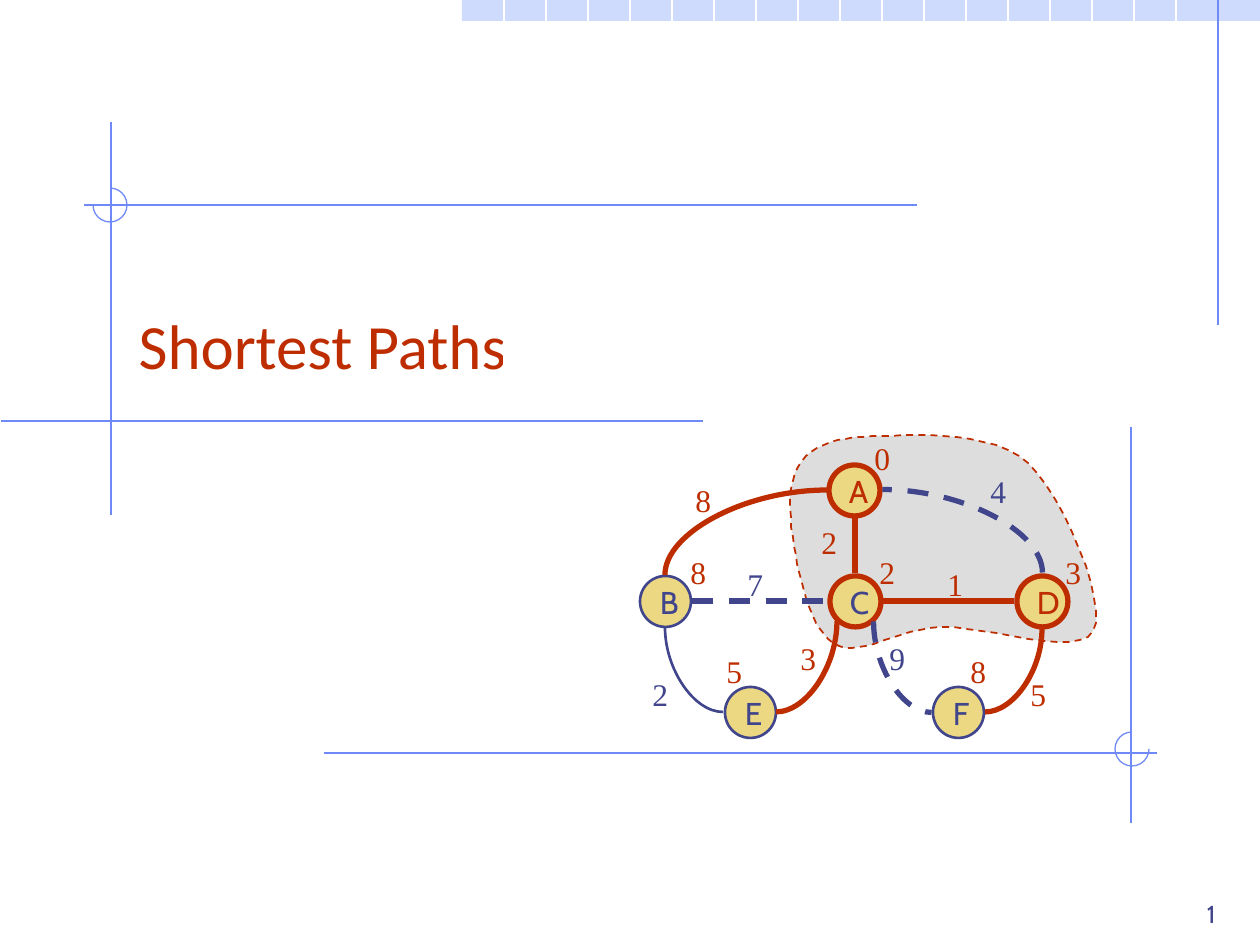
from pptx import Presentation
from pptx.dml.color import RGBColor
from pptx.enum.dml import MSO_LINE
from pptx.enum.shapes import MSO_CONNECTOR, MSO_SHAPE
from pptx.enum.text import MSO_ANCHOR, PP_ALIGN
from pptx.oxml.ns import qn
from pptx.util import Pt
from lxml import etree

STRAIGHT, CURVE = MSO_CONNECTOR.STRAIGHT, MSO_CONNECTOR.CURVE
RECT, OVAL, ARC = MSO_SHAPE.RECTANGLE, MSO_SHAPE.OVAL, MSO_SHAPE.ARC
DASH = MSO_LINE.DASH
LEFT, RIGHT = PP_ALIGN.LEFT, PP_ALIGN.RIGHT
TOP, MIDDLE, BOTTOM = MSO_ANCHOR.TOP, MSO_ANCHOR.MIDDLE, MSO_ANCHOR.BOTTOM
PX = 914400 / 126
COLORS = {name: RGBColor.from_string(value) for name, value in {
    "white": "FFFFFF", "band": "CFDBFD", "rule": "6F89F7", "red": "BE2D00",
    "navy": "40458C", "node": "ECD882", "cloud": "DDDDDD"}.items()}


def draw_line(start, end, color, width, dashed=False, kind=STRAIGHT, turn=0):
    connector = slide.shapes.add_connector(
        kind, *(round(v * PX) for v in (*start, *end)))
    connector.line.color.rgb = COLORS[color]
    connector.line.width = Pt(width)
    if dashed:
        connector.line.dash_style = DASH
    properties = connector._element.spPr
    etree.SubElement(properties, qn("a:effectLst"))
    if kind == CURVE:
        properties.find(qn("a:prstGeom")).set("prst", "curvedConnector2")
    if turn:
        properties.find(qn("a:xfrm")).set("rot", str(turn * 60000))


def write(holder, text, font, size, color, align=LEFT, anchor=TOP, wrap=False):
    frame = holder.text_frame
    frame.word_wrap = wrap
    frame.vertical_anchor = anchor
    paragraph = frame.paragraphs[0]
    paragraph.alignment = align
    run = paragraph.add_run()
    run.text = text
    run.font.name = font
    run.font.size = Pt(size)
    run.font.color.rgb = COLORS[color]


prs = Presentation()
prs.slide_width, prs.slide_height = round(1260 * PX), round(945 * PX)
slide = prs.slides.add_slide(prs.slide_layouts[5])

band = slide.shapes.add_shape(RECT, *(round(v * PX) for v in (462, 0, 798, 21)))
band.shadow.inherit = False
band.fill.solid()
band.fill.fore_color.rgb = COLORS["band"]
band.line.fill.background()
for x in range(504, 1218, 42):
    draw_line((x, 0), (x, 945), "white", 0.75)

for start, end in [
    ((1218, 0), (1218, 325)), ((111, 122), (111, 515)),
    ((703, 421), (1, 421)), ((917, 205), (84, 205)),
    ((324, 753), (1157, 753)), ((1131, 427), (1131, 823)),
]:
    draw_line(start, end, "rule", 0.75)

for x, y, start_angle, end_angle in [(93, 188, 270, 180), (1115, 732, 0, 270)]:
    corner = slide.shapes.add_shape(ARC, *(round(v * PX) for v in (x, y, 34, 34)))
    corner.shadow.inherit = False
    corner.adjustments[0] = start_angle * 0.6
    corner.adjustments[1] = end_angle * 0.6
    corner.fill.background()
    corner.line.color.rgb = COLORS["rule"]
    corner.line.width = Pt(0.75)

title = slide.shapes.title
title.left, title.top, title.width, title.height = (
    round(v * PX) for v in (126, 231, 1071, 157))
write(title, "Shortest Paths", "Calibri", 36, "red", anchor=BOTTOM, wrap=True)

cloud_start = (882, 436)
cloud_curves = [
    ((920, 435), (993, 431), (1028, 463)), ((1063, 495), (1108, 604), (1093, 631)),
    ((1079, 659), (984, 625), (941, 627)), ((898, 630), (862, 655), (839, 646)),
    ((815, 636), (806, 601), (799, 572)), ((792, 542), (784, 490), (798, 467)),
    ((811, 443), (844, 436), (882, 436)),
]
outline = []
corner_point = cloud_start
for control_1, control_2, curve_end in cloud_curves:
    for step in range(1, 13):
        t = step / 12
        outline.append(tuple(
            (1 - t) ** 3 * a + 3 * (1 - t) ** 2 * t * b + 3 * (1 - t) * t ** 2 * c + t ** 3 * d
            for a, b, c, d in zip(corner_point, control_1, control_2, curve_end)))
    corner_point = curve_end
builder = slide.shapes.build_freeform(*cloud_start, scale=PX)
builder.add_line_segments(outline, close=True)
cloud = builder.convert_to_shape()
cloud.shadow.inherit = False
cloud.fill.solid()
cloud.fill.fore_color.rgb = COLORS["cloud"]
cloud.line.color.rgb = COLORS["red"]
cloud.line.width = Pt(1)
cloud.line.dash_style = DASH

for letter, x, y, ring, ring_width, ink in [
    ("C", 830, 576, "red", 3, "navy"), ("B", 640, 576, "navy", 1.5, "navy"),
    ("A", 829, 465, "red", 3, "red"), ("E", 725, 687, "navy", 1.5, "navy"),
    ("D", 1017, 576, "red", 3, "red"), ("F", 933, 687, "navy", 1.5, "navy"),
]:
    vertex = slide.shapes.add_shape(OVAL, *(round(v * PX) for v in (x, y, 51, 51)))
    vertex.shadow.inherit = False
    vertex.fill.solid()
    vertex.fill.fore_color.rgb = COLORS["node"]
    vertex.line.color.rgb = COLORS[ring]
    vertex.line.width = Pt(ring_width)
    write(vertex, letter, "Cabin", 18, ink, anchor=MIDDLE)

for start, end, color, width, dashed, kind, turn in [
    ((827, 490), (665, 575), "red", 3, False, CURVE, 0),
    ((723, 712), (665, 627), "navy", 1.5, False, CURVE, 0),
    ((776, 712), (837, 621), "red", 3, False, CURVE, 0),
    ((855, 518), (855, 573), "red", 3, False, STRAIGHT, 0),
    ((692, 601), (827, 601), "navy", 3, True, STRAIGHT, 0),
    ((985, 712), (1042, 629), "red", 3, False, CURVE, 0),
    ((1004, 451), (921, 611), "navy", 3, True, CURVE, 90),
    ((883, 601), (1014, 601), "red", 3, False, STRAIGHT, 0),
    ((948, 638), (857, 696), "navy", 3, True, CURVE, 270),
]:
    draw_line(start, end, color, width, dashed, kind, turn)

distances = [("0", 862, 433, "red"), ("3", 1053, 547, "red"), ("2", 867, 547, "red"),
             ("8", 678, 547, "red"), ("5", 714, 646, "red"), ("8", 958, 646, "red")]
weights = [("4", 978, 466, "navy"), ("8", 683, 475, "red"), ("7", 735, 559, "navy"),
           ("1", 935, 559, "red"), ("2", 640, 669, "navy"), ("5", 1018, 669, "red"),
           ("2", 809, 517, "red"), ("3", 788, 633, "red"), ("9", 877, 633, "navy")]
for number, x, y, color in distances + weights:
    label = slide.shapes.add_textbox(*(round(v * PX) for v in (x, y, 42, 50)))
    write(label, number, "Times New Roman", 18, color)

page_number = slide.shapes.add_textbox(*(round(v * PX) for v in (966, 872, 262, 63)))
write(page_number, "1", "Cabin", 14, "navy", RIGHT, BOTTOM, True)

prs.save("out.pptx")
